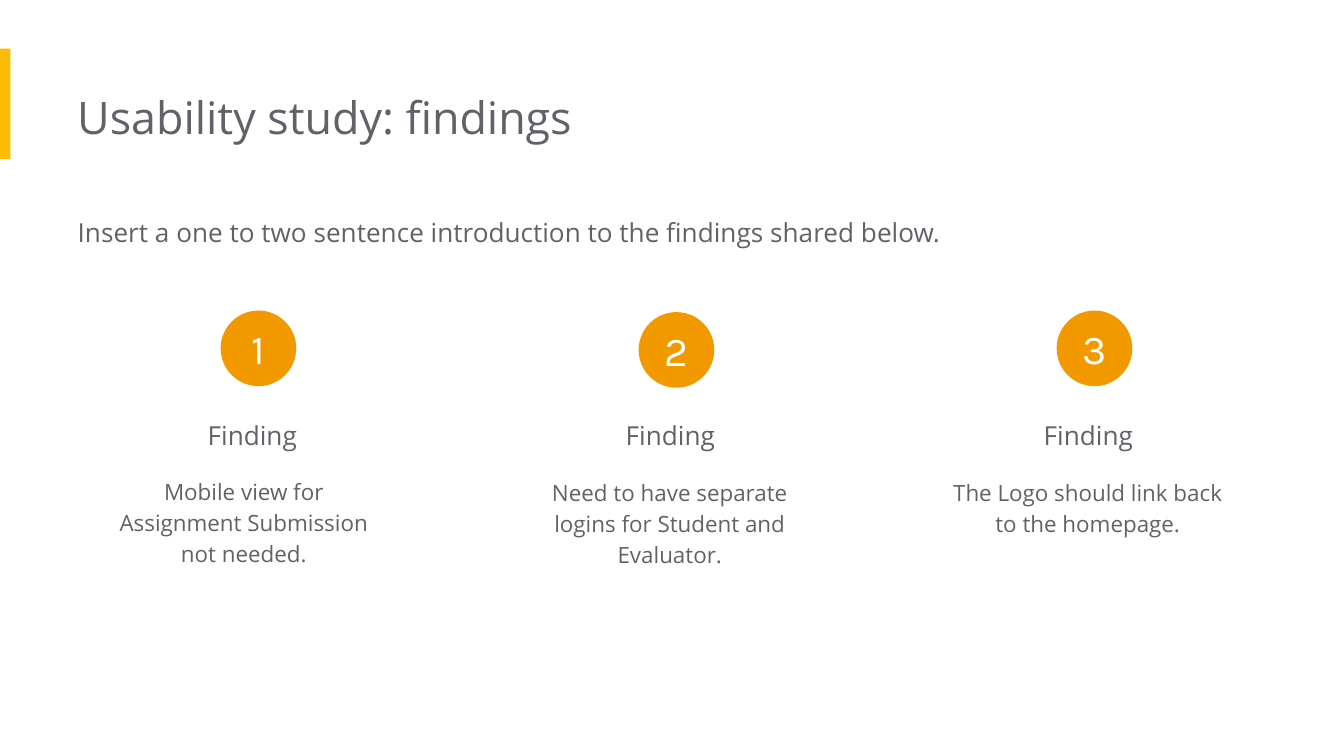
"""Build the usability study findings slide."""
from dataclasses import dataclass

from pptx import Presentation
from pptx.dml.color import RGBColor
from pptx.enum.shapes import MSO_SHAPE
from pptx.enum.text import MSO_ANCHOR, MSO_AUTO_SIZE, PP_ALIGN
from pptx.util import Cm, Pt

RECT, OVAL = MSO_SHAPE.RECTANGLE, MSO_SHAPE.OVAL
LEFT, CENTER = PP_ALIGN.LEFT, PP_ALIGN.CENTER
MIDDLE = MSO_ANCHOR.MIDDLE
GROW = MSO_AUTO_SIZE.SHAPE_TO_FIT_TEXT


@dataclass(frozen=True)
class Theme:
    ink: RGBColor = RGBColor.from_string("5F6368")
    accent: RGBColor = RGBColor.from_string("FBBC04")
    badge: RGBColor = RGBColor.from_string("F29900")
    white: RGBColor = RGBColor.from_string("FFFFFF")
    text_font: str = "Open Sans"
    number_font: str = "Karla"
    title: int = 24
    number: int = 22
    lead: int = 14
    body: int = 12


theme = Theme()


def add_text(x, y, w, h, text, size, spacing, align=LEFT):
    """Add a wrapped text box with no left inset."""
    tb = s.shapes.add_textbox(Cm(x), Cm(y), Cm(w), Cm(h))
    tf = tb.text_frame
    tf.word_wrap = True
    tf.auto_size = GROW
    tf.margin_left = 0
    tf.margin_right = tf.margin_top = tf.margin_bottom = Cm(0.25)
    p = tf.paragraphs[0]
    p.alignment = align
    p.line_spacing = spacing
    r = p.add_run()
    r.text = text
    r.font.name = theme.text_font
    r.font.size = Pt(size)
    r.font.color.rgb = theme.ink


def add_solid(kind, x, y, w, h, color):
    """Add a filled shape without line or shadow."""
    sp = s.shapes.add_shape(kind, Cm(x), Cm(y), Cm(w), Cm(h))
    sp.shadow.inherit = False
    sp.fill.solid()
    sp.fill.fore_color.rgb = color
    sp.line.fill.background()
    return sp


prs = Presentation()
prs.slide_width, prs.slide_height = Cm(25.4), Cm(14.29)
s = prs.slides.add_slide(prs.slide_layouts[6])

add_solid(RECT, 0, 0.92, 0.2, 2.09, theme.accent)
add_text(1.46, 1.45, 17.09, 1.55, "Usability study: findings", theme.title, 1.0)
add_text(1.47, 3.76, 18.03, 1.12,
         "Insert a one to two sentence introduction to the findings shared below.",
         theme.lead, 1.15)

COLUMN_STEP = 7.9
findings = [
    ("Mobile view for Assignment Submission not needed.", 1.98, 8.71, 2.29, 5.87),
    ("Need to have separate logins for Student and Evaluator.", 10.03, 8.74, 2.29, 5.9),
    ("The Logo should link back to the homepage.", 17.93, 8.74, 1.7, 5.87),
]
for i, (finding, body_x, body_y, body_h, badge_y) in enumerate(findings):
    offset = i * COLUMN_STEP
    sp = add_solid(OVAL, 4.17 + offset, badge_y, 1.43, 1.43, theme.badge)
    tf = sp.text_frame
    tf.vertical_anchor = MIDDLE
    tf.margin_left = tf.margin_right = tf.margin_top = tf.margin_bottom = 0
    p = tf.paragraphs[0]
    p.alignment = CENTER
    r = p.add_run()
    r.text = str(i + 1)
    r.font.name = theme.number_font
    r.font.size = Pt(theme.number)
    r.font.color.rgb = theme.white

    add_text(2.29 + offset, 7.39, 5.21, 1.12, "Finding", theme.lead, 1.5, CENTER)
    add_text(body_x, body_y, 5.51, body_h, finding, theme.body, 1.15, CENTER)

prs.save("out.pptx")
